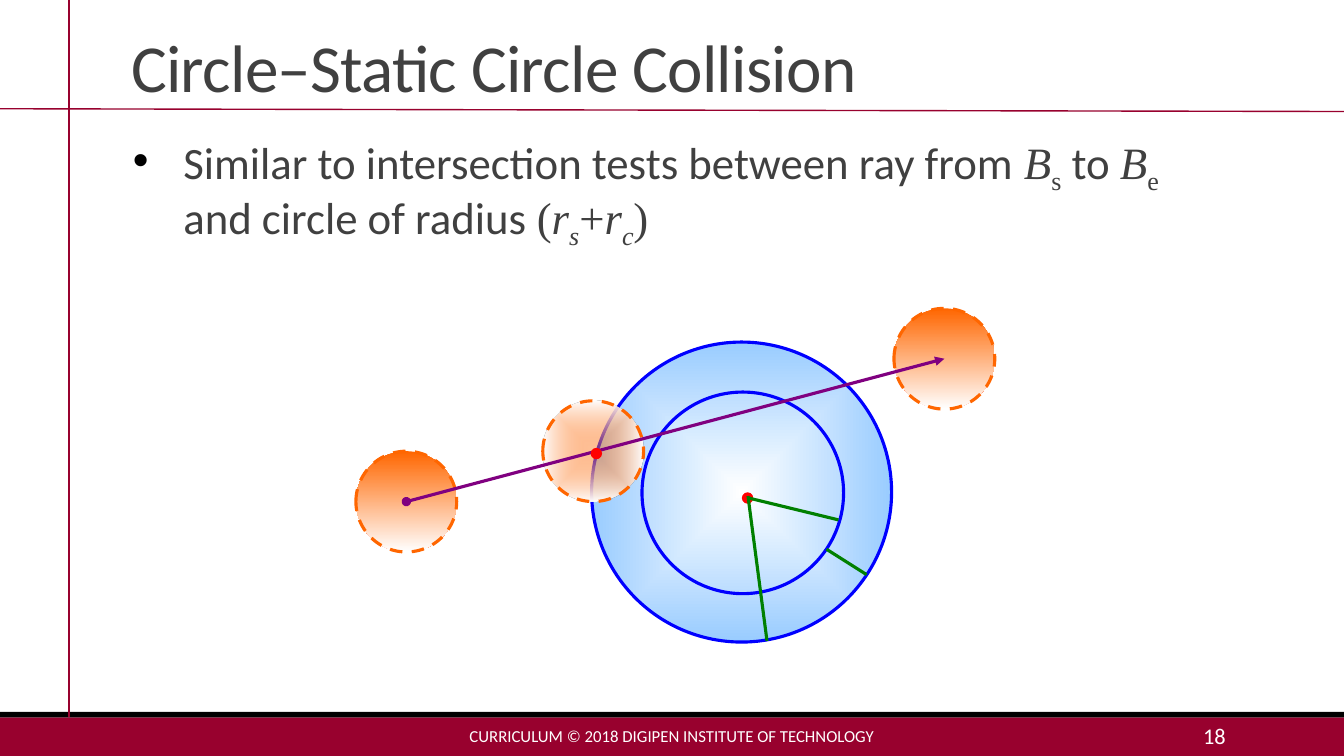
from lxml.etree import SubElement
from pptx import Presentation
from pptx.dml.color import RGBColor
from pptx.enum.dml import MSO_LINE as Dash
from pptx.enum.shapes import MSO_CONNECTOR as Link, MSO_SHAPE as Preset
from pptx.enum.text import MSO_ANCHOR as Anchor, MSO_AUTO_SIZE as Fit, PP_ALIGN as Align
from pptx.oxml.ns import qn
from pptx.util import Cm, Pt

COLOURS = {
    "maroon": "98012E", "black": "000000", "white": "FFFFFF", "grey": "404040",
    "blue": "0000FF", "sky": "99CCFF", "orange": "FF6600", "red": "FF0000",
    "purple": "800080", "green": "008000",
}
SANS, SERIF = "Calibri", "Times New Roman"
BALL_RADIUS = 1.27
BODY_SPANS = [
    ("Similar to intersection tests between ray from ", SANS, False, False),
    ("B", SERIF, True, False), ("s", SERIF, False, True),
    (" to ", SANS, False, False),
    ("B", SERIF, True, False), ("e", SERIF, False, True),
    (" and circle of radius ", SANS, False, False),
    ("(", SERIF, False, False),
    ("r", SERIF, True, False), ("s", SERIF, True, True),
    ("+", SERIF, False, False),
    ("r", SERIF, True, False), ("c", SERIF, True, True),
    (")", SERIF, False, False),
]


def colour(name):
    return RGBColor.from_string(COLOURS[name])


def apply(target, values):
    for name, value in values.items():
        setattr(target, name, value)


def place(shape, left, top, width, height):
    apply(shape, {"left": Cm(left), "top": Cm(top), "width": Cm(width), "height": Cm(height)})


def add_span(para, text, size, tint, font=SANS, italic=False):
    span = para.add_run()
    span.text = text
    apply(span.font, {"name": font, "size": Pt(size), "italic": italic})
    span.font.color.rgb = colour(tint)
    return span


def add_title(page, text):
    title = page.shapes.title
    place(title, 3.05, 0.41, 27.94, 2.39)
    apply(title.text_frame, {"vertical_anchor": Anchor.BOTTOM, "auto_size": Fit.NONE,
                             "word_wrap": True})
    para = title.text_frame.paragraphs[0]
    apply(para, {"alignment": Align.LEFT, "line_spacing": 0.85})
    span = add_span(para, text, 48, "grey")
    span.font._element.set("spc", "-50")


def add_bullet(para):
    properties = para._p.get_or_add_pPr()
    properties.set("marL", str(Cm(1.57)))
    properties.set("indent", str(-Cm(1.27)))
    tint = SubElement(properties, qn("a:buClr"))
    SubElement(tint, qn("a:srgbClr")).set("val", COLOURS["black"])
    SubElement(properties, qn("a:buFont")).set("typeface", "Arial")
    SubElement(properties, qn("a:buChar")).set("char", "•")


def add_body(page):
    body = page.placeholders[1]
    place(body, 3.05, 3.28, 27.94, 14.33)
    apply(body.text_frame, {"margin_left": 0, "margin_right": 0, "auto_size": Fit.NONE,
                            "vertical_anchor": Anchor.TOP, "word_wrap": True})
    para = body.text_frame.paragraphs[0]
    add_bullet(para)
    apply(para, {"alignment": Align.LEFT, "line_spacing": 0.9,
                 "space_before": Pt(0), "space_after": Pt(2)})
    for text, font, italic, lowered in BODY_SPANS:
        span = add_span(para, text, 32, "grey", font, italic)
        if lowered:
            span.font._element.set("baseline", "-25000")


def add_footer_text(page, text, left, width, size, alignment):
    box = page.shapes.add_textbox(Cm(left), Cm(18.03), Cm(width), Cm(1.02))
    apply(box.text_frame, {"vertical_anchor": Anchor.MIDDLE, "word_wrap": True})
    para = box.text_frame.paragraphs[0]
    para.alignment = alignment
    add_span(para, text, size, "white")


def add_band(page, top, height, tint):
    band = page.shapes.add_shape(Preset.RECTANGLE, 0, Cm(top), Cm(33.87), Cm(height))
    band.shadow.inherit = False
    band.fill.solid()
    band.fill.fore_color.rgb = colour(tint)
    band.line.fill.background()


def add_line(parent, start, end, tint, weight=2.25):
    points = [Cm(value) for value in (*start, *end)]
    line = parent.shapes.add_connector(Link.STRAIGHT, *points)
    line.line.color.rgb = colour(tint)
    line.line.width = Pt(weight)
    SubElement(line._element.spPr, qn("a:effectLst"))
    return line


def add_arrow(parent, start, end, tint):
    outline = add_line(parent, start, end, tint).line._get_or_add_ln()
    SubElement(outline, qn("a:headEnd")).set("type", "oval")
    SubElement(outline, qn("a:tailEnd")).set("type", "triangle")


def add_circle(parent, centre, radius, tint, weight=2.25, dash=None):
    x, y = centre
    circle = parent.shapes.add_shape(
        Preset.OVAL, Cm(x - radius), Cm(y - radius), Cm(2 * radius), Cm(2 * radius))
    circle.shadow.inherit = False
    circle.fill.background()
    circle.line.color.rgb = colour(tint)
    apply(circle.line, {"width": Pt(weight), "dash_style": dash})
    return circle


def add_dot(parent, centre):
    dot = add_circle(parent, centre, 0.13, "red", 0.75)
    dot.fill.solid()
    dot.fill.fore_color.rgb = colour("red")


def shade(circle, first, last, radial=False, opacity=100):
    circle.fill.gradient()
    for stop, tint, position in zip(circle.fill.gradient_stops, (first, last), (0, 1)):
        stop.color.rgb = colour(tint)
        stop.position = position
    circle.fill.gradient_angle = 270
    gradient = circle._element.spPr.find(qn("a:gradFill"))
    if opacity < 100:
        tint = next(gradient.iter(qn("a:srgbClr")))
        SubElement(tint, qn("a:alpha")).set("val", str(opacity * 1000))
    if radial:
        gradient.remove(gradient.find(qn("a:lin")))
        route = SubElement(gradient, qn("a:path"))
        route.set("path", "shape")
        focus = SubElement(route, qn("a:fillToRect"))
        for side in "ltrb":
            focus.set(side, "50000")


def add_ball(parent, centre, **shading):
    ball = add_circle(parent, centre, BALL_RADIUS, "orange", dash=Dash.DASH)
    shade(ball, "orange", "white", **shading)


def add_diagram(page):
    diagram = page.shapes.add_group_shape()
    ball_start, ball_end = (10.24, 12.64), (23.8, 9.04)
    outer = add_circle(diagram, (18.69, 12.4), 3.78, "blue")
    shade(outer, "white", "sky", radial=True)
    add_circle(diagram, (18.72, 12.42), 2.54, "blue")
    add_ball(diagram, ball_start)
    add_dot(diagram, (18.84, 12.55))
    add_ball(diagram, ball_end)
    add_ball(diagram, (14.95, 11.37), radial=True, opacity=40)
    add_arrow(diagram, ball_start, ball_end, "purple")
    add_dot(diagram, (15.03, 11.43))
    for start, end in [((18.87, 12.55), (21.13, 13.1)),
                       ((20.83, 13.84), (21.84, 14.48)),
                       ((19.33, 16.15), (18.85, 12.5))]:
        add_line(diagram, start, end, "green")


def main():
    deck = Presentation()
    apply(deck, {"slide_width": Cm(33.87), "slide_height": Cm(19.05)})
    page = deck.slides.add_slide(deck.slide_layouts[1])
    add_band(page, 18.08, 0.97, "maroon")
    add_band(page, 17.94, 0.14, "black")
    add_line(page, (1.74, 0), (1.74, 18.08), "maroon", 1)
    add_line(page, (0, 2.74), (33.87, 2.81), "maroon", 1)
    add_title(page, "Circle–Static Circle Collision")
    add_body(page)
    add_footer_text(page, "CURRICULUM © 2018 DIGIPEN INSTITUTE OF TECHNOLOGY",
                    10.24, 13.39, 12, Align.CENTER)
    add_footer_text(page, "18", 27.51, 3.63, 16, Align.RIGHT)
    add_diagram(page)
    deck.save("out.pptx")


if __name__ == "__main__":
    main()
